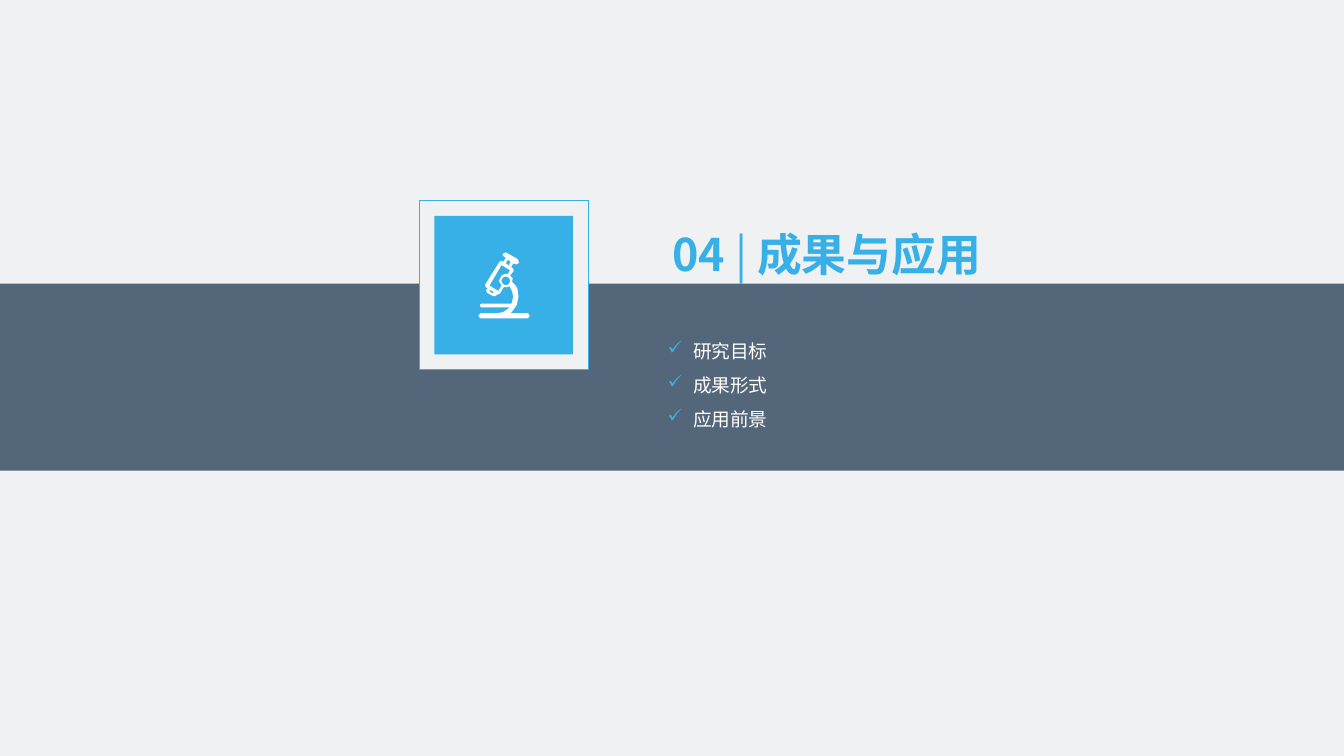
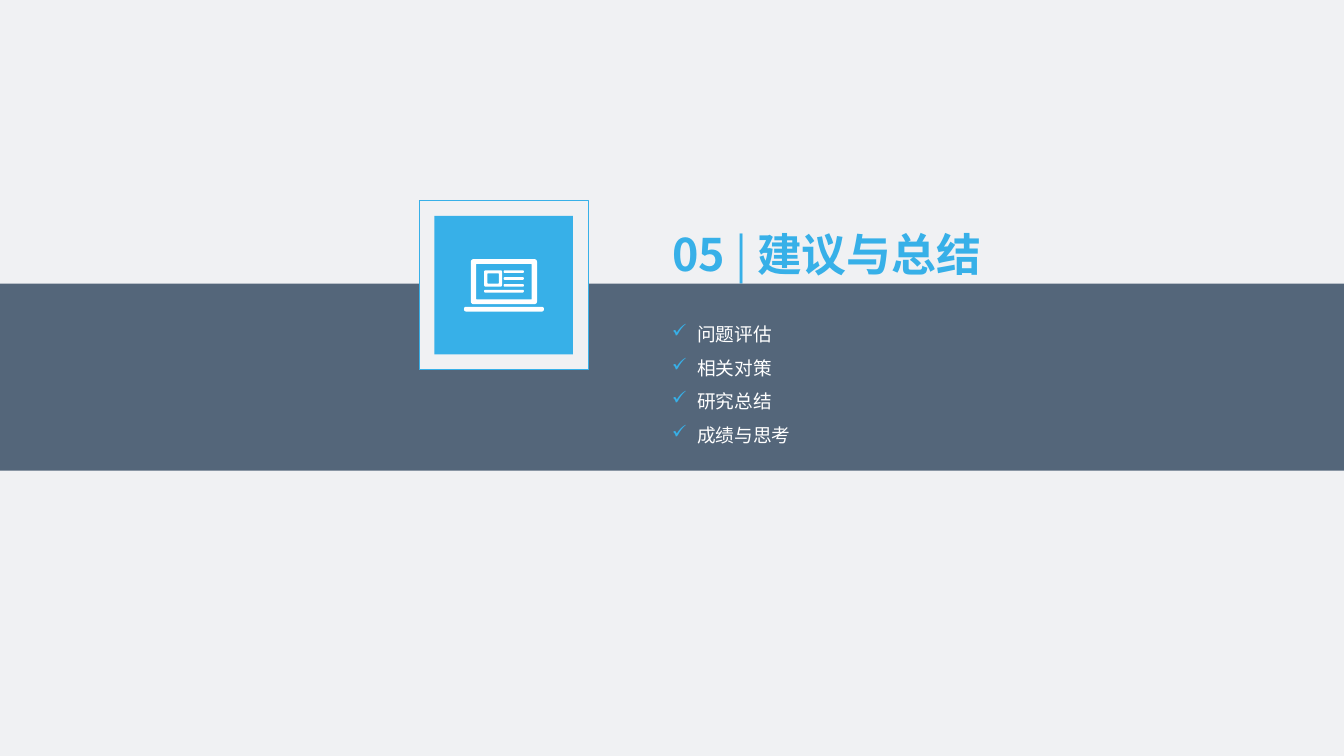
import math
from typing import NamedTuple

from lxml import etree
from pptx import Presentation
from pptx.dml.color import RGBColor
from pptx.enum import shapes, text
from pptx.oxml import ns
from pptx.util import Cm, Pt

BACKGROUND, BAND, ACCENT, WHITE = "F0F1F3", "54667A", "37B0E8", "FFFFFF"
TITLE_FONT, BODY_FONT = "Noto Sans CJK SC", "Roboto Condensed"
SLIDE_W, SLIDE_H = 25.4, 14.29
TILE_CENTRE = (9.52, 5.39)

Point = tuple[float, float]
Contour = list[Point]


class Box(NamedTuple):
    left: float
    top: float
    width: float
    height: float


class Section(NamedTuple):
    number: str
    name: str
    topics: list[str]
    topics_box: Box
    icon: list[Contour]


def rounded(left: float, top: float, width: float, height: float, radius: float) -> Contour:
    """Outline of a rectangle with rounded corners, in centimetres."""
    corners = [
        (left + width - radius, top + height - radius),
        (left + radius, top + height - radius),
        (left + radius, top + radius),
        (left + width - radius, top + radius),
    ]
    return [
        (x + radius * math.cos(math.radians(angle)), y + radius * math.sin(math.radians(angle)))
        for quarter, (x, y) in enumerate(corners)
        for angle in range(90 * quarter, 90 * quarter + 91, 15)
    ]


MICROSCOPE: list[Contour] = [
    [  # stand, foot and tube
        (9.68, 5.33), (9.74, 5.39), (9.78, 5.46), (9.8, 5.61), (9.77, 5.76),
        (9.68, 5.89), (9.65, 5.92), (9.98, 5.92), (10.01, 5.97), (9.98, 6.02),
        (9.08, 6.02), (9.04, 5.97), (9.08, 5.92), (9.4, 5.92), (9.51, 5.9),
        (9.6, 5.84), (9.63, 5.81), (9.09, 5.81), (9.07, 5.77), (9.09, 5.74),
        (9.67, 5.74), (9.7, 5.61), (9.68, 5.51), (9.63, 5.41), (9.58, 5.43),
        (9.52, 5.43), (9.45, 5.55), (9.4, 5.57), (9.36, 5.6), (9.32, 5.6),
        (9.2, 5.53), (9.19, 5.48), (9.22, 5.45), (9.18, 5.43), (9.17, 5.38),
        (9.44, 4.95), (9.48, 4.93), (9.52, 4.94), (9.56, 4.87), (9.51, 4.84),
        (9.5, 4.8), (9.56, 4.77), (9.79, 4.9), (9.81, 4.97), (9.76, 5),
        (9.7, 4.98), (9.66, 5.05), (9.7, 5.08), (9.71, 5.12), (9.64, 5.21),
        (9.69, 5.26),
    ],
    [(9.65, 4.95), (9.6, 4.91), (9.56, 4.98), (9.62, 5.02)],
    [
        (9.6, 5.18), (9.64, 5.11), (9.48, 5.01), (9.25, 5.4), (9.42, 5.5),
        (9.48, 5.4), (9.43, 5.31), (9.48, 5.21), (9.54, 5.18),
    ],
    rounded(9.48, 5.23, 0.16, 0.16, 0.08),
    [(9.27, 5.48), (9.25, 5.51), (9.32, 5.55), (9.33, 5.52)],
]

LAPTOP: list[Contour] = [
    rounded(8.9, 4.9, 1.25, 0.85, 0.05),
    rounded(9, 4.99, 1.05, 0.67, 0.01),
    rounded(8.77, 5.8, 1.51, 0.09, 0.04),
    rounded(9.15, 5.11, 0.34, 0.31, 0.03),
    rounded(9.21, 5.17, 0.22, 0.19, 0.01),
    *[rounded(9.52, 5.11 + 0.13 * row, 0.38, 0.05, 0.02) for row in range(3)],
    rounded(9.15, 5.48, 0.75, 0.05, 0.02),
]

TITLE_BOX = Box(12.7, 3.78, 6.6, 1.35)
SECTIONS = [
    Section("04", "成果与应用", ["研究目标", "成果形式", "应用前景"],
            Box(12.62, 6.22, 3.96, 1.85), MICROSCOPE),
    Section("05", "建议与总结", ["问题评估", "相关对策", "研究总结", "成绩与思考"],
            Box(12.7, 5.89, 3.96, 2.49), LAPTOP),
]


def rgb(value: str) -> RGBColor:
    return RGBColor.from_string(value)


def paint(sp, fill: str, line: str | None = None) -> None:
    sp.shadow.inherit = False
    sp.fill.solid()
    sp.fill.fore_color.rgb = rgb(fill)
    if line:
        sp.line.color.rgb = rgb(line)
        sp.line.width = Pt(0.5)
    else:
        sp.line.fill.background()


def add_rect(slide, box: Box, fill: str, line: str | None = None) -> None:
    sp = slide.shapes.add_shape(shapes.MSO_SHAPE.RECTANGLE, *map(Cm, box))
    paint(sp, fill, line)


def add_tile(slide, size: float, fill: str, line: str | None = None) -> None:
    """Square centred on the tile centre."""
    x, y = TILE_CENTRE
    add_rect(slide, Box(x - size / 2, y - size / 2, size, size), fill, line)


def add_icon(slide, contours: list[Contour]) -> None:
    outlines = [[(Cm(x), Cm(y)) for x, y in contour] for contour in contours]
    builder = slide.shapes.build_freeform(*outlines[0][0])
    for index, (start, *rest) in enumerate(outlines):
        if index:
            builder.move_to(*start)
        builder.add_line_segments(rest, close=True)
    paint(builder.convert_to_shape(), WHITE)


def prepare_frame(tf) -> None:
    tf.margin_left = tf.margin_top = tf.margin_right = tf.margin_bottom = 0
    tf.word_wrap = True
    tf.vertical_anchor = text.MSO_ANCHOR.TOP
    tf.auto_size = text.MSO_AUTO_SIZE.SHAPE_TO_FIT_TEXT


def format_run(r, font: str, size: float, color: str, bold: bool = False) -> None:
    r.font.name = font
    r.font.size = Pt(size)
    r.font.bold = bold
    r.font.color.rgb = rgb(color)
    east_asian = etree.SubElement(r.font._element, ns.qn("a:ea"))
    east_asian.set("typeface", TITLE_FONT)


def set_title(slide, section: Section) -> None:
    title = slide.shapes.title
    title.left, title.top, title.width, title.height = map(Cm, TITLE_BOX)
    prepare_frame(title.text_frame)
    p = title.text_frame.paragraphs[0]
    p.alignment = text.PP_ALIGN.LEFT
    p.line_spacing = 1.5
    for part, bold in ((f"{section.number} ", True), ("| ", False), (section.name, True)):
        r = p.add_run()
        r.text = part
        format_run(r, TITLE_FONT, 24, ACCENT, bold)


def add_check_bullet(p) -> None:
    properties = p._p.get_or_add_pPr()
    properties.set("marL", str(Cm(0.48)))
    properties.set("indent", str(-Cm(0.48)))
    color = etree.SubElement(properties, ns.qn("a:buClr"))
    etree.SubElement(color, ns.qn("a:srgbClr")).set("val", ACCENT)
    etree.SubElement(properties, ns.qn("a:buChar")).set("char", "✓")


def add_topics(slide, section: Section) -> None:
    tf = slide.shapes.add_textbox(*map(Cm, section.topics_box)).text_frame
    prepare_frame(tf)
    tf.text = "\n".join(section.topics)
    for p in tf.paragraphs:
        p.line_spacing = 1.5
        add_check_bullet(p)
        format_run(p.runs[0], BODY_FONT, 10, WHITE)


def add_section(prs, section: Section) -> None:
    slide = prs.slides.add_slide(prs.slide_layouts.get_by_name("Title Only"))
    add_rect(slide, Box(0, 5.36, SLIDE_W, 3.54), BAND)
    add_tile(slide, 3.2, BACKGROUND, ACCENT)
    add_tile(slide, 2.62, ACCENT)
    add_topics(slide, section)
    set_title(slide, section)
    add_icon(slide, section.icon)


def main() -> None:
    prs = Presentation()
    prs.slide_width, prs.slide_height = Cm(SLIDE_W), Cm(SLIDE_H)
    fill = prs.slide_master.background.fill
    fill.solid()
    fill.fore_color.rgb = rgb(BACKGROUND)
    for section in SECTIONS:
        add_section(prs, section)
    prs.save("out.pptx")


if __name__ == "__main__":
    main()
